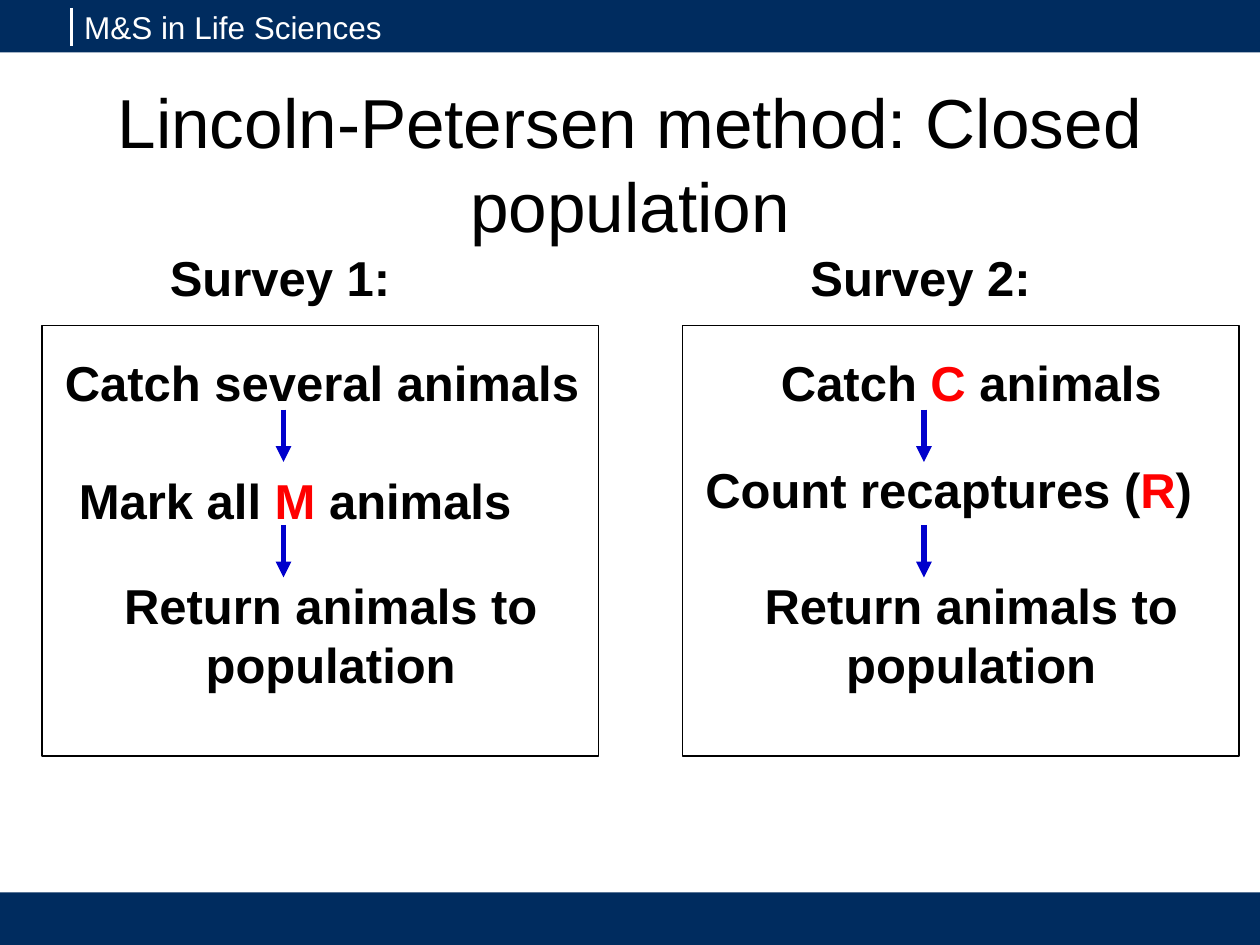
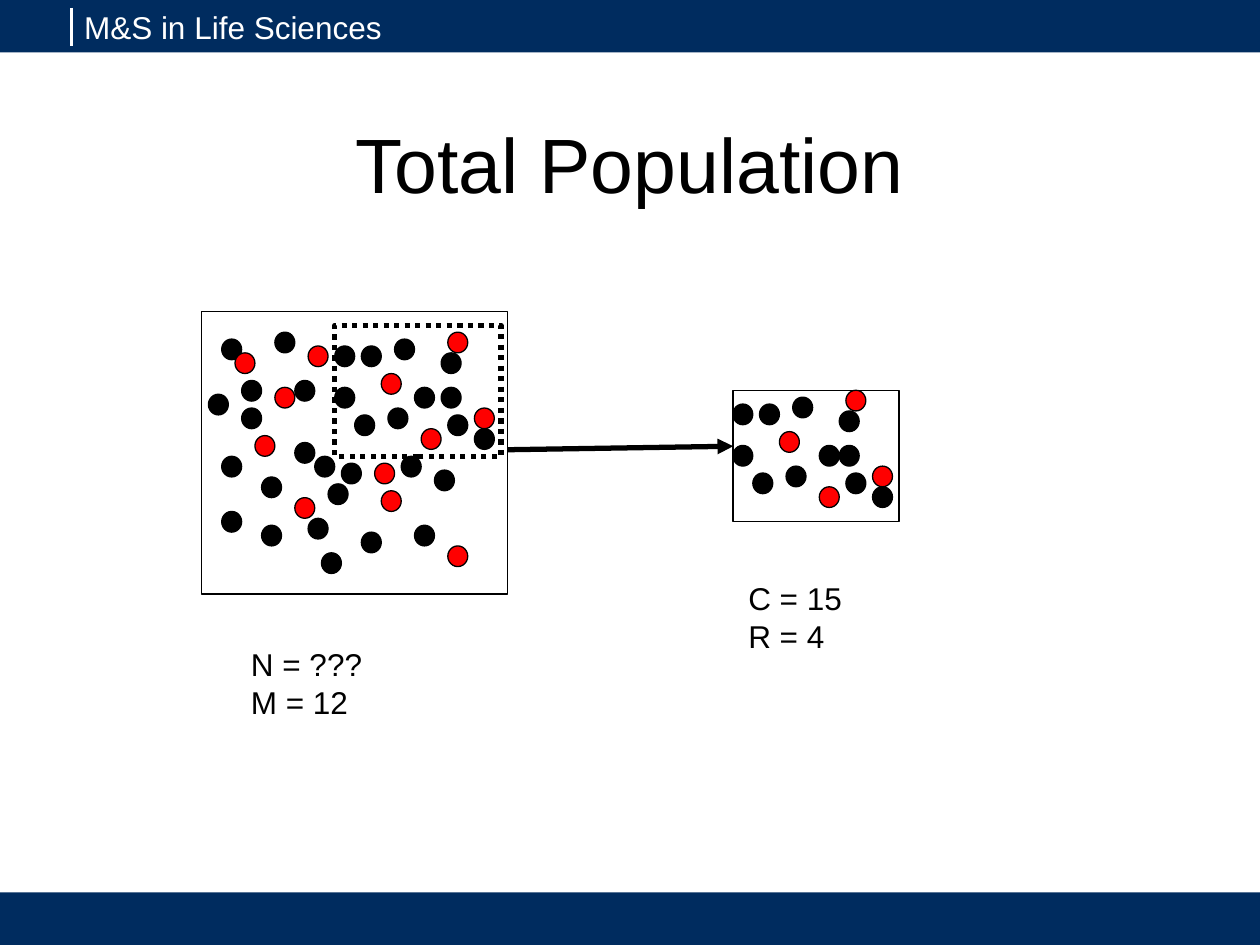
from lxml import etree
from pptx import Presentation
from pptx.dml.color import RGBColor
from pptx.enum import dml, shapes, text
from pptx.oxml import ns
from pptx.util import Pt

NAVY = RGBColor(0x00, 0x2C, 0x5F)
BLUE = RGBColor(0x00, 0x00, 0xCC)
RED = RGBColor(0xFF, 0x00, 0x00)
BLACK = RGBColor(0x00, 0x00, 0x00)
WHITE = RGBColor(0xFF, 0xFF, 0xFF)
FONT = "Arial"
SLIDE_WIDTH, SLIDE_HEIGHT = 720, 540
BAND_HEIGHT = 30
PANEL_TOP, PANEL_WIDTH, PANEL_HEIGHT = 186, 318, 246
COLUMN, ROW = 3.8, 3.94
DOT_SPAN = 3

SURVEYS = [
    (24, "Survey 1:", [
        (6, 12, 309, [("Catch several animals", BLACK)]),
        (14, 79.2, 262, [("Mark all ", BLACK), ("M", RED), (" animals", BLACK)]),
    ]),
    (390, "Survey 2:", [
        (49.2, 12, 233, [("Catch ", BLACK), ("C", RED), (" animals", BLACK)]),
        (6, 73.2, 294, [("Count recaptures (", BLACK), ("R", RED), (")", BLACK)]),
    ]),
]

POPULATION_UNMARKED = [
    (3, 4), (36, 11), (32, 31), (3, 21), (30, 21), (19, 25), (9, 24), (20, 5),
    (11, 3), (1, 12), (29, 4), (6, 10), (14, 10), (20, 11), (14, 19), (6, 14),
    (9, 31), (36, 6), (41, 17), (21, 22), (28, 14), (35, 23), (18, 35), (3, 29),
    (17, 21), (23, 15), (24, 32), (16, 30), (32, 11), (24, 5), (37, 15),
]
POPULATION_MARKED = [
    (5, 6), (16, 5), (8, 18), (37, 34), (41, 14), (27, 26), (14, 27), (37, 3),
    (26, 22), (11, 11), (27, 9), (33, 17),
]
SAMPLE_UNMARKED = [
    (16, 8), (0, 2), (9, 1), (0, 8), (16, 3), (21, 14), (8, 11), (3, 12),
    (17, 12), (4, 2), (13, 8),
]
SAMPLE_MARKED = [(21, 11), (17, 0), (7, 6), (13, 14)]


def add_preset(container, kind, left, top, width, height, fill=None, line=BLACK, weight=0.75):
    shape = container.add_shape(kind, Pt(left), Pt(top), Pt(width), Pt(height))
    shape.shadow.inherit = False
    if fill is None:
        shape.fill.background()
    else:
        shape.fill.solid()
        shape.fill.fore_color.rgb = fill
    if line is None:
        shape.line.fill.background()
    else:
        shape.line.color.rgb = line
        shape.line.width = Pt(weight)
    return shape


def add_line(slide, start, end, color, weight, arrow=True):
    connector = slide.shapes.add_connector(
        shapes.MSO_CONNECTOR.STRAIGHT, *(Pt(value) for value in (*start, *end)))
    connector.line.color.rgb = color
    connector.line.width = Pt(weight)
    if arrow:
        outline = connector.line._get_or_add_ln()
        etree.SubElement(outline, ns.qn("a:tailEnd"), type="triangle")
    etree.SubElement(connector._element.spPr, ns.qn("a:effectLst"))


def add_text(slide, left, top, width, height, paragraphs, size, bold=False,
             color=BLACK, align=text.PP_ALIGN.LEFT, wrap=True):
    box = slide.shapes.add_textbox(Pt(left), Pt(top), Pt(width), Pt(height))
    frame = box.text_frame
    frame.word_wrap = wrap
    frame.auto_size = text.MSO_AUTO_SIZE.SHAPE_TO_FIT_TEXT
    for index, runs in enumerate(paragraphs):
        paragraph = frame.add_paragraph() if index else frame.paragraphs[0]
        paragraph.alignment = align
        paragraph.font.name = FONT
        paragraph.font.size = Pt(size)
        paragraph.font.bold = bold
        for words, run_color in runs:
            run = paragraph.add_run()
            run.text = words
            run.font.color.rgb = run_color or color
    return box


def plain(*lines):
    return [[(line, None)] for line in lines]


def add_page(presentation, title, title_size):
    slide = presentation.slides.add_slide(presentation.slide_layouts[6])
    for top in (0, SLIDE_HEIGHT - BAND_HEIGHT):
        add_preset(slide.shapes, shapes.MSO_SHAPE.RECTANGLE, 0, top,
                   SLIDE_WIDTH, BAND_HEIGHT, NAVY, None)
    add_line(slide, (41, 4.5), (41, 26.5), WHITE, 2, arrow=False)
    add_text(slide, 41, 1, 241, 29, plain("M&S in Life Sciences"), 18, color=WHITE)
    heading = add_text(slide, 54, 48, 612, 90, plain(title), title_size,
                       align=text.PP_ALIGN.CENTER)
    heading.text_frame.auto_size = text.MSO_AUTO_SIZE.NONE
    heading.text_frame.vertical_anchor = text.MSO_ANCHOR.MIDDLE
    return slide


def add_survey(slide, left, top, name, steps):
    add_text(slide, left + 66, top - 48, 142, 41, plain(name), 28, bold=True, wrap=False)
    for x, y, width, runs in steps:
        add_text(slide, left + x, top + y, width, 41, [runs], 28, bold=True, wrap=False)
    add_text(slide, left + 6, top + 139.5, PANEL_WIDTH, 74,
             plain("Return animals to population"), 28, bold=True,
             align=text.PP_ALIGN.CENTER)
    for y in (48, 114):
        add_line(slide, (left + 138, top + y), (left + 138, top + y + 30), BLUE, 3)
    add_preset(slide.shapes, shapes.MSO_SHAPE.RECTANGLE, left, top, PANEL_WIDTH, PANEL_HEIGHT)


def add_animals(slide, left, top, columns, rows, unmarked, marked):
    group = slide.shapes.add_group_shape().shapes
    add_preset(group, shapes.MSO_SHAPE.RECTANGLE, left, top, columns * COLUMN, rows * ROW)
    for color, places in ((BLACK, unmarked), (RED, marked)):
        for column, row in places:
            add_preset(group, shapes.MSO_SHAPE.OVAL, left + column * COLUMN,
                       top + row * ROW, DOT_SPAN * COLUMN, DOT_SPAN * ROW, color)
    return group


def add_population(slide, left, top):
    group = add_animals(slide, left, top, 46, 41, POPULATION_UNMARKED, POPULATION_MARKED)
    catch_area = add_preset(group, shapes.MSO_SHAPE.RECTANGLE, left + 20 * COLUMN,
                            top + 2 * ROW, 25 * COLUMN, 19 * ROW, weight=3)
    catch_area.line.dash_style = dml.MSO_LINE.ROUND_DOT
    add_text(slide, left + 21, top + 187, 95, 51, plain("N = ???", "M = 12"), 18)


def add_sample(slide, left, top):
    add_animals(slide, left, top, 25, 19, SAMPLE_UNMARKED, SAMPLE_MARKED)
    add_text(slide, left + 1.7, top + 104.5, 95, 51, plain("C = 15", "R = 4"), 18)


def build_method(presentation):
    slide = add_page(presentation, "Lincoln-Petersen method: Closed population", 39.6)
    for left, name, steps in SURVEYS:
        add_survey(slide, left, PANEL_TOP, name, steps)


def build_total_population(presentation):
    slide = add_page(presentation, "Total Population", 44)
    add_line(slide, (290, 257), (419, 255), BLACK, 3)
    add_population(slide, 115.3, 178)
    add_sample(slide, 418.8, 223)


def main():
    presentation = Presentation()
    presentation.slide_width = Pt(SLIDE_WIDTH)
    presentation.slide_height = Pt(SLIDE_HEIGHT)
    build_method(presentation)
    build_total_population(presentation)
    presentation.save("out.pptx")


if __name__ == "__main__":
    main()
